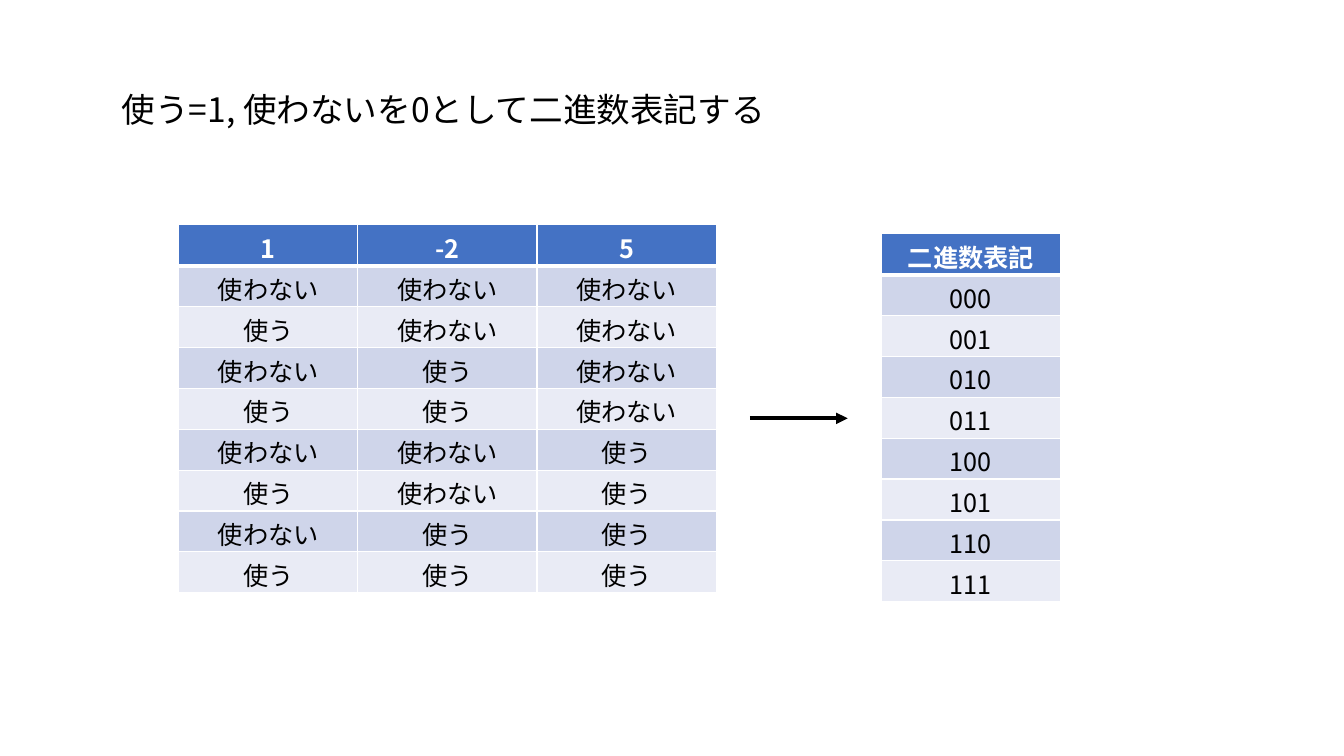
from lxml.etree import SubElement
from pptx import Presentation
from pptx.dml.color import RGBColor
from pptx.enum.shapes import MSO_CONNECTOR
from pptx.enum.text import MSO_AUTO_SIZE, PP_ALIGN
from pptx.oxml.ns import qn
from pptx.util import Pt

FONT = "Noto Sans CJK JP"
COLORS = {"text": "000000", "white": "FFFFFF", "header": "4472C4",
          "odd": "CFD5EA", "even": "E9EBF5"}
NUMBERS = ["1", "-2", "5"]
COL_WIDTH, ROW_HEIGHT = 128, 29.2


def rgb(name):
    """Return the named colour."""
    return RGBColor.from_string(COLORS[name])


def write(tf, text, size=18, color="text", bold=False, align=PP_ALIGN.LEFT, spacing=None):
    """Write one formatted paragraph into a text frame."""
    p = tf.paragraphs[0]
    p.alignment = align
    if spacing:
        p.line_spacing = Pt(spacing)
    r = p.add_run()
    r.text = text
    r.font.name, r.font.size, r.font.bold = FONT, Pt(size), bold
    r.font.color.rgb = rgb(color)
    SubElement(r._r.get_or_add_rPr(), qn("a:ea"), typeface=FONT)


def add_borders(cell, bottom):
    """Give a cell white borders with its own bottom width."""
    tcPr = cell._tc.get_or_add_tcPr()
    for side, width in (("L", 1), ("R", 1), ("T", 1), ("B", bottom)):
        ln = SubElement(tcPr, qn(f"a:ln{side}"), w=str(Pt(width)))
        fill = SubElement(ln, qn("a:solidFill"))
        SubElement(fill, qn("a:srgbClr"), val=COLORS["white"])


def add_banded_table(s, x, y, rows):
    """Add a table with a header row and banded body rows."""
    n_rows, n_cols = len(rows), len(rows[0])
    table = s.shapes.add_table(n_rows, n_cols, Pt(x), Pt(y), Pt(COL_WIDTH * n_cols),
                               Pt(ROW_HEIGHT * n_rows)).table
    for column in table.columns:
        column.width = Pt(COL_WIDTH)
    for i, texts in enumerate(rows):
        table.rows[i].height = Pt(ROW_HEIGHT)
        header = i == 0
        band = "header" if header else "odd" if i % 2 else "even"
        for j, text in enumerate(texts):
            cell = table.cell(i, j)
            cell.margin_top, cell.margin_bottom = Pt(3.6), Pt(0)
            add_borders(cell, 3 if header or (i == 0) else 1)
            if i == 1:
                cell._tc.tcPr.find(qn("a:lnT")).set("w", str(Pt(3)))
            cell.fill.solid()
            cell.fill.fore_color.rgb = rgb(band)
            write(cell.text_frame, text, color="white" if header else "text",
                  bold=header, align=PP_ALIGN.CENTER, spacing=25.5)


def add_arrow(s, x1, x2, y):
    """Add a horizontal arrow pointing right."""
    c = s.shapes.add_connector(MSO_CONNECTOR.STRAIGHT, Pt(x1), Pt(y), Pt(x2), Pt(y))
    c.line.width = Pt(2.75)
    c.line.color.rgb = rgb("text")
    SubElement(c.line._get_or_add_ln(), qn("a:tailEnd"), type="triangle")
    SubElement(c._element.spPr, qn("a:effectLst"))


def add_text(s, x, y, w, h, text, **fmt):
    """Add a text box that grows with its text."""
    tf = s.shapes.add_textbox(Pt(x), Pt(y), Pt(w), Pt(h)).text_frame
    tf.word_wrap = True
    tf.auto_size = MSO_AUTO_SIZE.SHAPE_TO_FIT_TEXT
    write(tf, text, **fmt)


def main():
    """Build the slide on subset choices as binary numbers."""
    prs = Presentation()
    prs.slide_width, prs.slide_height = Pt(960), Pt(540)
    s = prs.slides.add_slide(prs.slide_layouts[6])
    n = len(NUMBERS)
    codes = [f"{i:0{n}b}" for i in range(2 ** n)]
    choices = [["使う" if bit == "1" else "使わない" for bit in reversed(code)]
               for code in codes]
    add_banded_table(s, 127.6, 160.6, [NUMBERS] + choices)
    add_arrow(s, 535.7, 605.5, 298.8)
    add_banded_table(s, 629.5, 167, [["二進数表記"]] + [[code] for code in codes])
    add_text(s, 79.9, 59.8, 501, 36, "使う=1, 使わないを0として二進数表記する", size=24)
    prs.save("out.pptx")


main()
